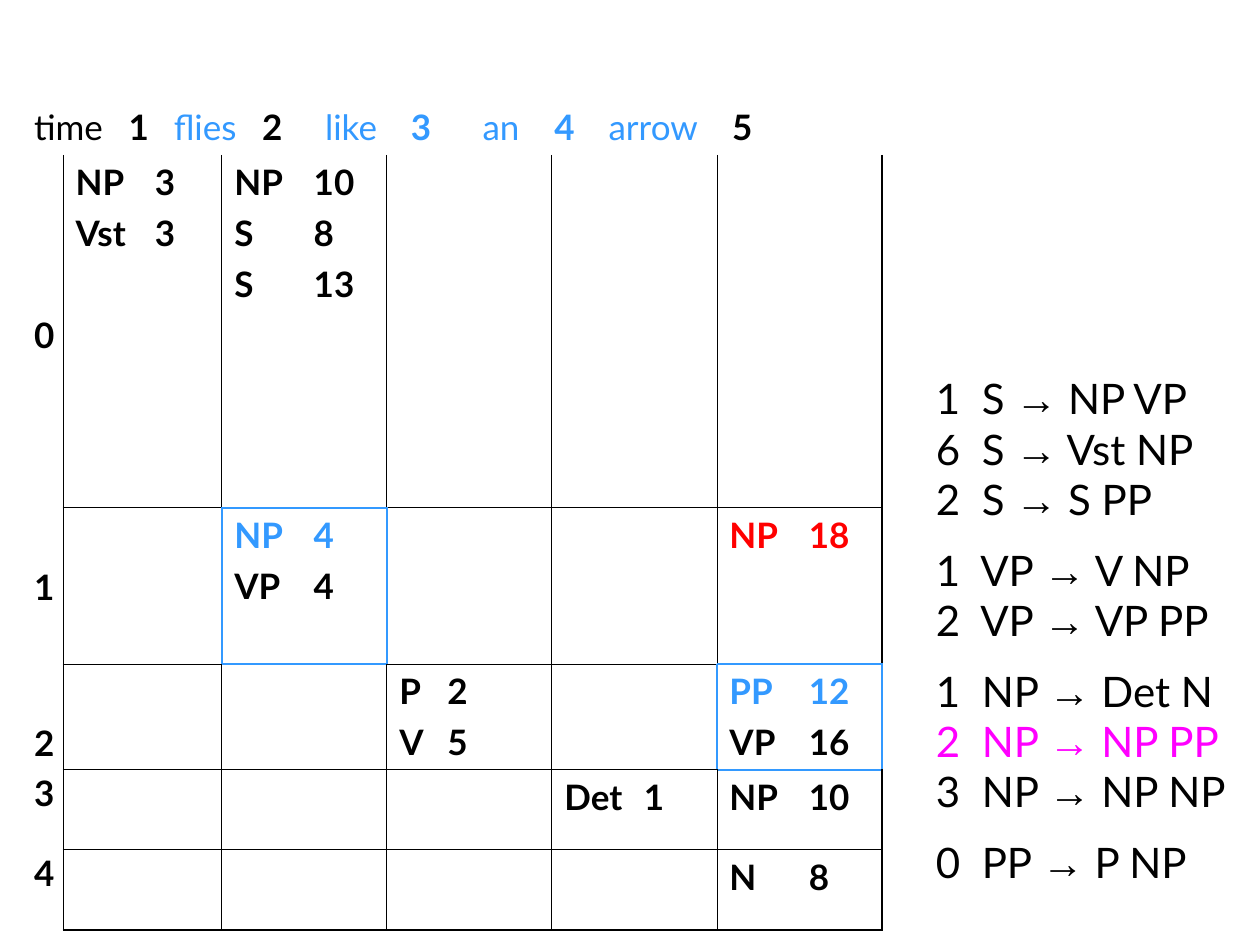
from lxml import etree
from pptx import Presentation
from pptx.dml.color import RGBColor
from pptx.enum.text import PP_ALIGN
from pptx.oxml.ns import qn
from pptx.util import Emu, Inches, Pt

CENTER = PP_ALIGN.CENTER
FONT, ARROW_FONT = "Lato", "Arial"
COLORS = {"black": "000000", "blue": "3399FF", "red": "FF0000", "magenta": "FF00FF"}
THIN, THICK = Pt(0.45), Pt(1.08)

COLUMN_WEIGHTS = [0.33, 1.26, 1.31, 1.31, 1.31, 1.31]
ROW_WEIGHTS = [0.44, 2.8, 1.24, 0.84, 0.63, 0.64]
LABEL_TOPS = [1.26, 0.46, 0.46, 0.02, 0.02]  # inches above each row label
SIDES = {"L": (0, -1), "R": (0, 1), "T": (-1, 0), "B": (1, 0)}
HIGHLIGHTED = {(2, 2), (3, 5)}

# Text, colour, bold and tab stop in inches
SENTENCE = [
    ("time", "black", False, 0),
    ("1", "black", True, 0.75),
    ("flies", "blue", False, 1.11),
    ("2", "black", True, 1.81),
    ("like", "blue", False, 2.31),
    ("3", "blue", True, 2.99),
    ("an", "blue", False, 3.56),
    ("4", "blue", True, 4.13),
    ("arrow", "blue", False, 4.56),
    ("5", "black", True, 5.54),
]
# (row, column): entries of category, weight and colour
CHART_ENTRIES = {
    (1, 1): [("NP", 3, "black"), ("Vst", 3, "black")],
    (1, 2): [("NP", 10, "black"), ("S", 8, "black"), ("S", 13, "black")],
    (2, 2): [("NP", 4, "blue"), ("VP", 4, "black")],
    (2, 5): [("NP", 18, "red")],
    (3, 3): [("P", 2, "black"), ("V", 5, "black")],
    (3, 5): [("PP", 12, "blue"), ("VP", 16, "black")],
    (4, 4): [("Det", 1, "black")],
    (4, 5): [("NP", 10, "black")],
    (5, 5): [("N", 8, "black")],
}
RULE_GROUPS = [
    [(1, "S", "NP VP"), (6, "S", "Vst NP"), (2, "S", "S PP")],
    [(1, "VP", "V NP"), (2, "VP", "VP PP")],
    [(1, "NP", "Det N"), (2, "NP", "NP PP"), (3, "NP", "NP NP")],
    [(0, "PP", "P NP")],
]
USED_RULE = (2, "NP", "NP PP")


def rgb(name):
    return RGBColor.from_string(COLORS[name])


def style_font(font, size, color="black", bold=False):
    font.name, font.size, font.bold = FONT, Pt(size), bold
    font.color.rgb = rgb(color)


def add_tab_stops(paragraph, stops):
    tab_list = etree.SubElement(paragraph._p.get_or_add_pPr(), qn("a:tabLst"))
    for stop in stops:
        etree.SubElement(tab_list, qn("a:tab"), pos=str(Inches(stop)), algn="l")


def edge_style(row, column, side):
    """Return (colour, width) of a cell edge, or None where no line shows."""
    row_step, column_step = SIDES[side]
    other_row, other_column = row + row_step, column + column_step
    if HIGHLIGHTED & {(row, column), (other_row, other_column)}:
        return "blue", THICK
    if min(row, other_row) <= 0 or max(column, other_column) == 0 or other_column < 0:
        return None
    outside = other_row == len(ROW_WEIGHTS) or other_column == len(COLUMN_WEIGHTS)
    return "black", THICK if outside else THIN


def draw_borders(cell, row, column):
    properties = cell._tc.get_or_add_tcPr()
    for position, side in enumerate(SIDES):
        style = edge_style(row, column, side)
        line = etree.Element(qn(f"a:ln{side}"))
        if style:
            color, width = style
            line.set("w", str(width))
            fill = etree.SubElement(line, qn("a:solidFill"))
            etree.SubElement(fill, qn("a:srgbClr"), val=COLORS[color])
        else:
            etree.SubElement(line, qn("a:noFill"))
        properties.insert(position, line)


def write_sentence(cell):
    paragraph = cell.text_frame.paragraphs[0]
    add_tab_stops(paragraph, [stop for *_, stop in SENTENCE[1:]])
    for index, (text, color, bold, _) in enumerate(SENTENCE):
        run = paragraph.add_run()
        run.text = text if index == 0 else "\t" + text
        style_font(run.font, 20, color, bold)


def write_row_label(cell, number, top):
    cell.margin_top, cell.margin_bottom = Inches(top), 0
    paragraph = cell.text_frame.paragraphs[0]
    paragraph.text = str(number)
    paragraph.alignment = CENTER
    style_font(paragraph.font, 20, bold=True)


def write_entries(cell, entries, stop):
    frame = cell.text_frame
    for index, (category, weight, color) in enumerate(entries):
        paragraph = frame.add_paragraph() if index else frame.paragraphs[0]
        paragraph.text = f"{category}\t{weight}"
        if index:
            paragraph.space_before = Pt(5)
        add_tab_stops(paragraph, [stop])
        style_font(paragraph.font, 20, color, True)


def add_parse_chart(slide, box):
    left, top, width, height = box
    shape = slide.shapes.add_table(
        len(ROW_WEIGHTS), len(COLUMN_WEIGHTS), left, top, width, height)
    table = shape.table
    table.first_row = table.horz_banding = False
    for column, weight in zip(table.columns, COLUMN_WEIGHTS):
        column.width = Emu(int(width * weight / sum(COLUMN_WEIGHTS)))
    for row, weight in zip(table.rows, ROW_WEIGHTS):
        row.height = Emu(int(height * weight / sum(ROW_WEIGHTS)))
    table.cell(0, 0).merge(table.cell(0, len(COLUMN_WEIGHTS) - 1))
    for row in range(len(ROW_WEIGHTS)):
        for column in range(len(COLUMN_WEIGHTS)):
            cell = table.cell(row, column)
            cell.fill.background()
            draw_borders(cell, row, column)
    write_sentence(table.cell(0, 0))
    for number, label_top in enumerate(LABEL_TOPS):
        write_row_label(table.cell(number + 1, 0), number, label_top)
    for (row, column), entries in CHART_ENTRIES.items():
        write_entries(table.cell(row, column), entries, 0.38 if column == 3 else 0.63)


def add_grammar(slide, box):
    frame = slide.shapes.add_textbox(*box).text_frame
    frame.word_wrap = True
    paragraph = frame.paragraphs[0]
    for group_index, group in enumerate(RULE_GROUPS):
        for rule_index, rule in enumerate(group):
            if group_index or rule_index:
                paragraph = frame.add_paragraph()
            if group_index and rule_index == 0:
                paragraph.line_spacing = 1.4
            weight, head, body = rule
            for text in (f"{weight}  {head} ", "→", f" {body}"):
                run = paragraph.add_run()
                run.text = text
                style_font(run.font, 24, "magenta" if rule == USED_RULE else "black")
                if text == "→":
                    run.font.name = ARROW_FONT


def main():
    presentation = Presentation()
    presentation.slide_width, presentation.slide_height = Inches(10), Inches(7.5)
    slide = presentation.slides.add_slide(presentation.slide_layouts[6])

    def inches_box(left, top, width, height):
        return Inches(left), Inches(top), Inches(width), Inches(height)

    add_parse_chart(slide, inches_box(0.17, 0.79, sum(COLUMN_WEIGHTS), sum(ROW_WEIGHTS)))
    add_grammar(slide, inches_box(7.33, 2.91, 2.67, 4.18))
    presentation.save("out.pptx")


if __name__ == "__main__":
    main()
